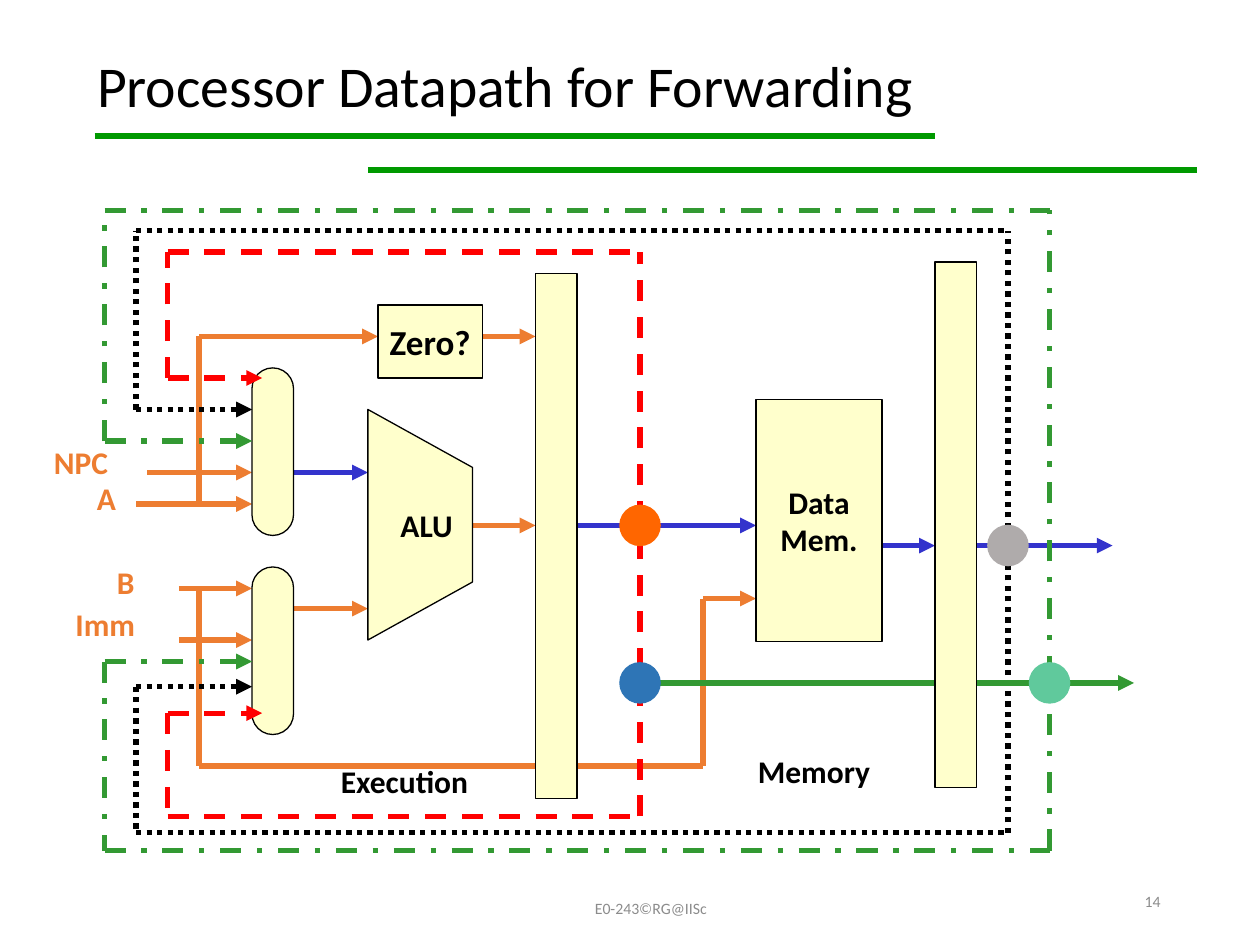
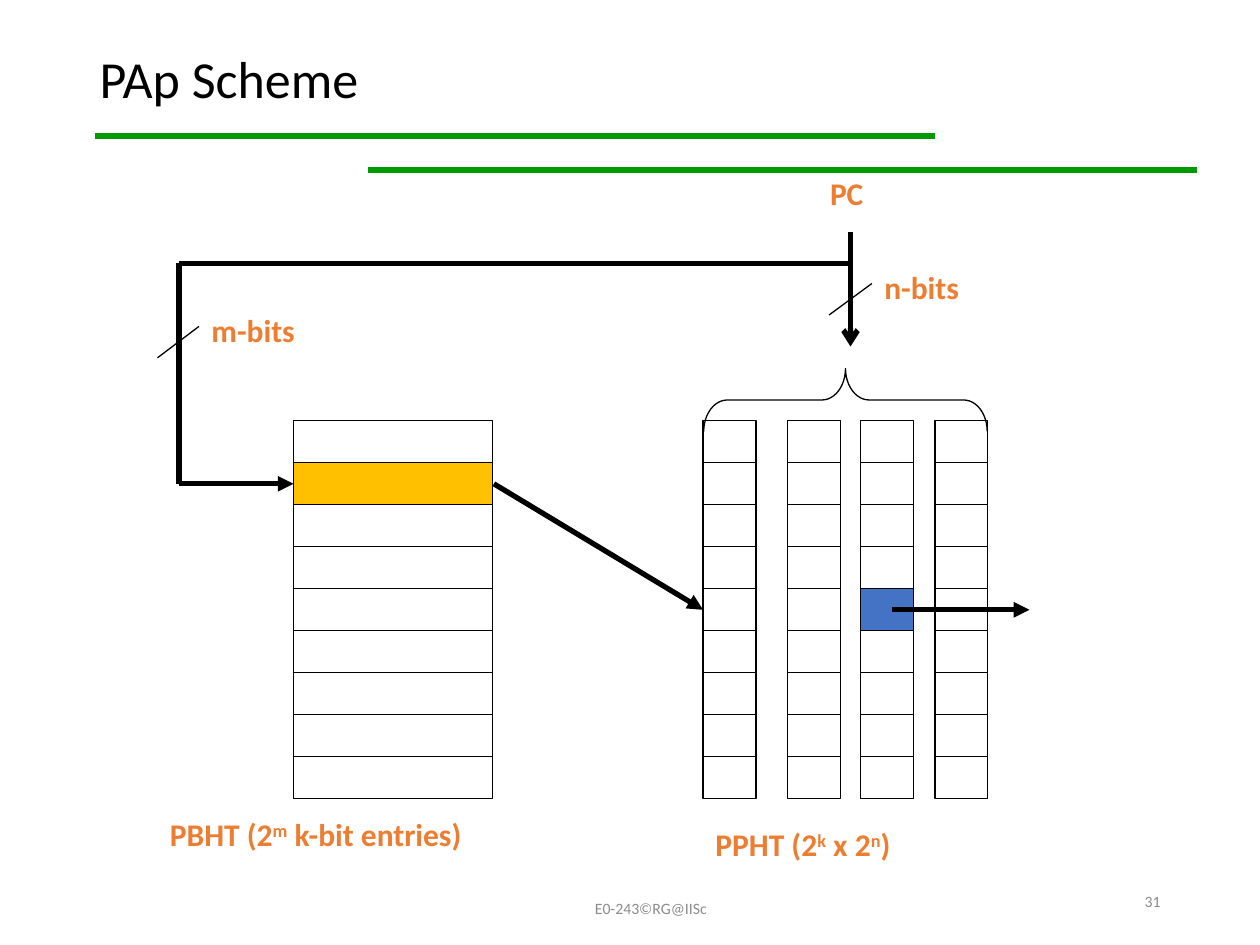
"""Builds two computer architecture slides: forwarding datapath and PAp scheme."""
import pptx
import pptx.util
import pptx.dml.color
import pptx.enum.dml
import pptx.enum.shapes
import pptx.enum.text
import pptx.oxml.ns
from lxml import etree

Inches, Pt = pptx.util.Inches, pptx.util.Pt
RGBColor = pptx.dml.color.RGBColor
MSO_LINE = pptx.enum.dml.MSO_LINE
MSO_SHAPE = pptx.enum.shapes.MSO_SHAPE
MSO_ANCHOR = pptx.enum.text.MSO_ANCHOR
PP_ALIGN = pptx.enum.text.PP_ALIGN
qn = pptx.oxml.ns.qn

FONT = "Calibri"
BLACK = RGBColor(0x00, 0x00, 0x00)
GRAY = RGBColor(0x8C, 0x8C, 0x8C)
RULE_GREEN = RGBColor(0x00, 0x99, 0x00)
ORANGE = RGBColor(0xED, 0x7D, 0x31)
BLUE = RGBColor(0x33, 0x33, 0xCC)
GREEN = RGBColor(0x33, 0x99, 0x33)
RED = RGBColor(0xFF, 0x00, 0x00)
CREAM = RGBColor(0xFF, 0xFF, 0xCC)
GOLD = RGBColor(0xFF, 0xC0, 0x00)
CELL_BLUE = RGBColor(0x44, 0x72, 0xC4)

FOOTER = "E0-243©RG@IISc"
RULES = [(0.75, 7.42, 1.08), (2.92, 9.5, 1.35)]

DATAPATH_LABELS = [
    ("NPC", (0.33, 3.47, 1, 0.5), ORANGE, PP_ALIGN.LEFT),
    ("A", (0.67, 3.75, 0.58, 0.5), ORANGE, PP_ALIGN.LEFT),
    ("B", (0.83, 4.42, 0.42, 0.5), ORANGE, PP_ALIGN.LEFT),
    ("Imm", (0.5, 4.75, 0.92, 0.5), ORANGE, PP_ALIGN.LEFT),
    ("Execution", (2, 6, 2.42, 0.5), BLACK, PP_ALIGN.CENTER),
    ("Memory", (5.25, 5.92, 2.42, 0.5), BLACK, PP_ALIGN.CENTER),
]
DATAPATH_WIRES = [
    ([(1.58, 4), (1.58, 2.67), (3, 2.67)], ORANGE, "triangle"),
    ([(1.58, 4.67), (1.58, 6.08), (5.58, 6.08), (5.58, 4.75), (6, 4.75)], ORANGE, "triangle"),
    ([(3.83, 2.67), (4.25, 2.67)], ORANGE, "triangle"),
    ([(3.75, 4.17), (4.25, 4.17)], ORANGE, "triangle"),
    ([(1.17, 3.75), (2, 3.75)], ORANGE, "triangle"),
    ([(1.08, 4), (2, 4)], ORANGE, "triangle"),
    ([(1.42, 4.67), (2, 4.67)], ORANGE, "triangle"),
    ([(1.42, 5.08), (2, 5.08)], ORANGE, "triangle"),
    ([(2.33, 4.83), (2.92, 4.83)], ORANGE, "triangle"),
    ([(2.33, 3.75), (2.92, 3.75)], BLUE, "triangle"),
    ([(4.58, 4.17), (6, 4.17)], BLUE, "triangle"),
    ([(7, 4.33), (7.42, 4.33)], BLUE, "triangle"),
    ([(7.75, 4.33), (8.83, 4.33)], BLUE, "triangle"),
    ([(5.08, 5.42), (7.42, 5.42)], GREEN, None),
]
ALU_OUTLINE = [(2.92, 3.25), (3.75, 3.71), (3.75, 4.62), (2.92, 5.08)]
DATAPATH_BLOCKS = [
    (MSO_SHAPE.RECTANGLE, (3, 2.42, 0.83, 0.58), ["Zero?"], 20),
    (MSO_SHAPE.RECTANGLE, (6, 3.17, 1, 1.92), ["Data", "Mem."], 18),
    (MSO_SHAPE.RECTANGLE, (4.25, 2.17, 0.33, 4.17), [], 18),
    (MSO_SHAPE.RECTANGLE, (7.42, 2.08, 0.33, 4.17), [], 18),
    (MSO_SHAPE.ROUNDED_RECTANGLE, (2, 2.92, 0.33, 1.33), [], 18),
    (MSO_SHAPE.ROUNDED_RECTANGLE, (2, 4.5, 0.33, 1.33), [], 18),
]
FORWARD_LOOPS = [
    dict(color=RED, dash=MSO_LINE.DASH, left=1.33, right=5.08, tip=2.08,
         branches=[(3, 2), (5.66, 6.48)]),
    dict(color=BLACK, dash=MSO_LINE.ROUND_DOT, left=1.08, right=8, tip=2,
         branches=[(3.25, 1.83), (5.45, 6.61)]),
    dict(color=GREEN, dash=MSO_LINE.DASH_DOT, left=0.83, right=8.33, tip=2,
         branches=[(3.5, 1.67), (5.25, 6.75)]),
]
TAPS = [
    (8.33, 5.42, RGBColor(0x60, 0xC9, 0x9C)),
    (8, 4.33, RGBColor(0xAF, 0xAB, 0xAB)),
    (5.08, 4.17, RGBColor(0xFF, 0x66, 0x00)),
    (5.08, 5.42, RGBColor(0x2E, 0x75, 0xB6)),
]

TABLE_TOP, ROWS, ROW_H = 3.34, 9, 1 / 3
PBHT_X, PBHT_W = 2.33, 1.58
PPHT_XS, PPHT_W = [5.58, 6.25, 6.83, 7.42], 0.42
HIGHLIGHTS = [(PBHT_X, PBHT_W, 1, GOLD), (PPHT_XS[2], PPHT_W, 4, CELL_BLUE)]
SCHEME_LABELS = [
    ("PC", (5.93, 1.33, 1.58, 0.5), ORANGE, PP_ALIGN.CENTER),
    ("n-bits", (6.92, 2.08, 1.33, 0.5), ORANGE, PP_ALIGN.LEFT),
    ("m-bits", (1.58, 2.42, 1.33, 0.5), ORANGE, PP_ALIGN.LEFT),
    ("PBHT (2^m^ k-bit entries)", (1.25, 6.42, 3.75, 0.5), ORANGE, PP_ALIGN.LEFT),
    ("PPHT (2^k^ x 2^n^)", (5.58, 6.5, 2.75, 0.5), ORANGE, PP_ALIGN.LEFT),
]
SCHEME_WIRES = [
    ([(6.75, 1.84), (6.75, 2.75)], 3, "arrow"),
    ([(6.75, 2.09), (1.42, 2.09), (1.42, 3.84), (2.33, 3.84)], 3, "triangle"),
    ([(3.92, 3.84), (5.58, 4.84)], 3, "triangle"),
    ([(7.08, 4.84), (8.17, 4.84)], 3, "triangle"),
    ([(6.92, 2.25), (6.58, 2.5)], 0.75, None),
    ([(1.58, 2.59), (1.25, 2.84)], 0.75, None),
]


def box(values):
    return [Inches(v) for v in values]


def write(tf, lines, size, color, align, bold=True):
    """Fill a text frame; text between carets is superscript."""
    for i, line in enumerate(lines):
        p = tf.add_paragraph() if i else tf.paragraphs[0]
        p.alignment = align
        for j, part in enumerate(line.split("^")):
            r = p.add_run()
            r.text = part
            if j % 2:
                r._r.get_or_add_rPr().set("baseline", "30000")
        p.font.name, p.font.size, p.font.bold = FONT, Pt(size), bold
        p.font.color.rgb = color


def add_label(s, text, at, color, align, size=18, bold=True, anchor=MSO_ANCHOR.TOP):
    tf = s.shapes.add_textbox(*box(at)).text_frame
    tf.word_wrap = True
    tf.vertical_anchor = anchor
    write(tf, [text], size, color, align, bold)


def add_wire(s, points, color, width=3, head=None, dash=None):
    """Join the points with straight lines, with an arrowhead on the last."""
    for start, end in zip(points, points[1:]):
        c = s.shapes.add_connector(pptx.enum.shapes.MSO_CONNECTOR.STRAIGHT, *box(start + end))
        c.line.color.rgb, c.line.width = color, Pt(width)
        if dash:
            c.line.dash_style = dash
        if head and end == points[-1]:
            etree.SubElement(c.line._get_or_add_ln(), qn("a:tailEnd"), type=head)
        etree.SubElement(c._element.spPr, qn("a:effectLst"))


def style(sp, fill=None, line=BLACK):
    sp.shadow.inherit = False
    if fill is None:
        sp.fill.background()
    else:
        sp.fill.solid()
        sp.fill.fore_color.rgb = fill
    if line is None:
        sp.line.fill.background()
    else:
        sp.line.color.rgb, sp.line.width = line, Pt(0.75)
    return sp


def add_block(s, kind, at, fill=None, line=BLACK):
    return style(s.shapes.add_shape(kind, *box(at)), fill, line)


def caption(sp, lines, size=18):
    tf = sp.text_frame
    tf.word_wrap = False
    tf.vertical_anchor = MSO_ANCHOR.MIDDLE
    write(tf, lines, size, BLACK, PP_ALIGN.CENTER)


def new_slide(prs, title, at, size, number):
    s = prs.slides.add_slide(prs.slide_layouts[5])
    for left, right, y in RULES:
        add_wire(s, [(left, y), (right, y)], RULE_GREEN)
    sp = s.shapes.title
    sp.left, sp.top, sp.width, sp.height = box(at)
    tf = sp.text_frame
    tf.auto_size = pptx.enum.text.MSO_AUTO_SIZE.NONE
    tf.vertical_anchor = MSO_ANCHOR.MIDDLE
    write(tf, [title], size, BLACK, PP_ALIGN.LEFT, False)
    tf.paragraphs[0].line_spacing = 0.9
    add_label(s, FOOTER, (3.58, 7.08, 3.17, 0.25), GRAY, PP_ALIGN.CENTER, 9, False, MSO_ANCHOR.MIDDLE)
    add_label(s, number, (7.06, 6.95, 2.25, 0.4), GRAY, PP_ALIGN.RIGHT, 9, False, MSO_ANCHOR.MIDDLE)
    return s


def build_datapath(prs):
    s = new_slide(prs, "Processor Datapath for Forwarding", (0.67, 0.33, 9, 0.75), 33, "14")
    for label in DATAPATH_LABELS:
        add_label(s, *label)
    for points, color, head in DATAPATH_WIRES:
        add_wire(s, points, color, head=head)
    corners = [box(point) for point in ALU_OUTLINE]
    outline = s.shapes.build_freeform(*corners[0])
    outline.add_line_segments(corners[1:], close=True)
    alu = style(outline.convert_to_shape(), CREAM)
    caption(alu, ["ALU"])
    alu.text_frame.margin_left = Inches(0.2)
    for kind, at, lines, size in DATAPATH_BLOCKS:
        sp = add_block(s, kind, at, CREAM)
        if kind == MSO_SHAPE.ROUNDED_RECTANGLE:
            sp.adjustments[0] = 0.5
        if lines:
            caption(sp, lines, size)
    for loop in FORWARD_LOOPS:
        left, right, color, dash = loop["left"], loop["right"], loop["color"], loop["dash"]
        for mux_y, edge_y in loop["branches"]:
            add_wire(s, [(left, mux_y), (left, edge_y), (right, edge_y)], color, dash=dash)
            add_wire(s, [(left, mux_y), (loop["tip"], mux_y)], color, head="triangle", dash=dash)
        (_, top), (_, bottom) = loop["branches"]
        add_wire(s, [(right, bottom), (right, top)], color, dash=dash)
    add_wire(s, [(7.75, 5.42), (9, 5.42)], GREEN, head="triangle")
    d = 0.33
    for x, y, color in TAPS:
        add_block(s, MSO_SHAPE.OVAL, (x - d / 2, y - d / 2, d, d), color, None)


def build_scheme(prs):
    s = new_slide(prs, "PAp Scheme", (0.69, 0.4, 8.62, 0.5), 29.7, "31")
    for x, w in [(PBHT_X, PBHT_W)] + [(x, PPHT_W) for x in PPHT_XS]:
        add_block(s, MSO_SHAPE.RECTANGLE, (x, TABLE_TOP, w, ROWS * ROW_H))
        for row in range(1, ROWS):
            y = TABLE_TOP + row * ROW_H
            add_wire(s, [(x, y), (x + w, y)], BLACK, 0.75)
    for x, w, row, color in HIGHLIGHTS:
        add_block(s, MSO_SHAPE.RECTANGLE, (x, TABLE_TOP + row * ROW_H, w, ROW_H), color)
    brace = add_block(s, MSO_SHAPE.LEFT_BRACE, (6.46, 2.05, 0.5, 2.25))
    brace.rotation = 90
    brace.adjustments[0], brace.adjustments[1] = 0.375, 0.5
    for points, width, head in SCHEME_WIRES:
        add_wire(s, points, BLACK, width, head)
    for label in SCHEME_LABELS:
        add_label(s, *label)


def main():
    prs = pptx.Presentation()
    prs.slide_width, prs.slide_height = Inches(10), Inches(7.5)
    build_datapath(prs)
    build_scheme(prs)
    prs.save("out.pptx")


if __name__ == "__main__":
    main()
